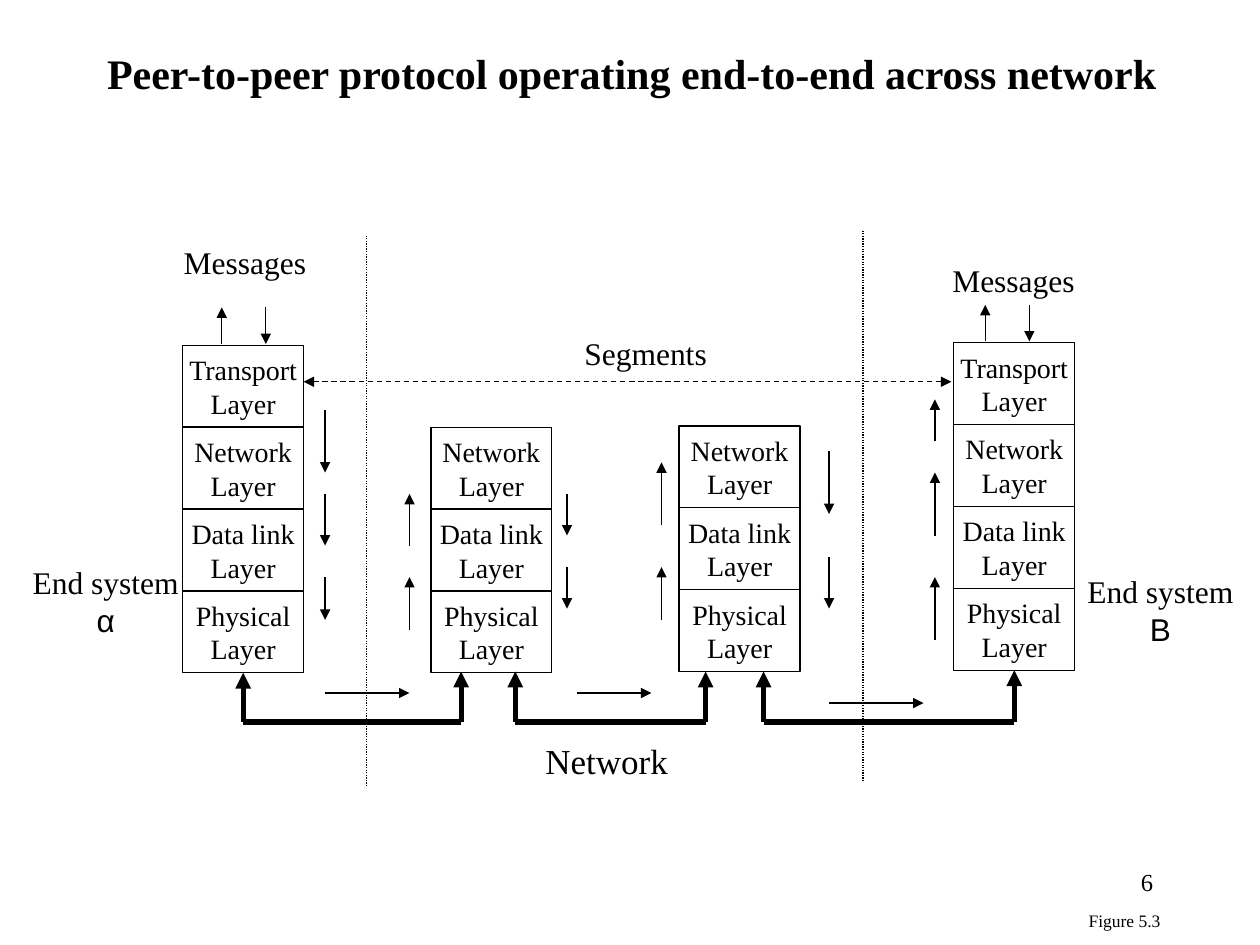
from dataclasses import dataclass

from lxml import etree
from pptx import Presentation
from pptx.dml.color import RGBColor
from pptx.enum.dml import MSO_LINE
from pptx.enum.shapes import MSO_CONNECTOR, MSO_SHAPE
from pptx.enum.text import MSO_ANCHOR, MSO_AUTO_SIZE, PP_ALIGN
from pptx.oxml.ns import qn
from pptx.util import Pt

PX = 9144  # EMU per px, 100 px to the inch
LEFT, CENTER, RIGHT = PP_ALIGN.LEFT, PP_ALIGN.CENTER, PP_ALIGN.RIGHT
TOP, MIDDLE = MSO_ANCHOR.TOP, MSO_ANCHOR.MIDDLE
STRAIGHT = MSO_CONNECTOR.STRAIGHT
DASH, DOT = MSO_LINE.DASH, MSO_LINE.ROUND_DOT
BOTTOM_SITE = 2
LAYER_W, LAYER_H = 96, 65
ROUTER_LAYERS = ["Network", "Data link", "Physical"]
END_LAYERS = ["Transport"] + ROUTER_LAYERS


@dataclass(frozen=True)
class Theme:
    ink: RGBColor = RGBColor(0, 0, 0)
    font: str = "Times New Roman"
    greek_font: str = "Arial"
    title: int = 24
    network: int = 20
    label: int = 18
    layer: int = 16
    number: int = 14
    caption: int = 10
    thin: float = 0.75
    thick: int = 3


THEME = Theme()


def px(*lengths):
    return [round(n * PX) for n in lengths]


def write(tf, text, size, align=CENTER, anchor=TOP, bold=False, wrap=False):
    tf.text = text
    tf.word_wrap = wrap
    tf.auto_size = MSO_AUTO_SIZE.NONE
    tf.vertical_anchor = anchor
    for p in tf.paragraphs:
        p.alignment = align
        for r in p.runs:
            r.font.name = THEME.font
            r.font.size = Pt(size)
            r.font.bold = bold
            r.font.color.rgb = THEME.ink


def add_label(s, box, text, size, align=LEFT, anchor=TOP):
    tf = s.shapes.add_textbox(*px(*box)).text_frame
    write(tf, text, size, align, anchor)
    return tf


def add_line(s, start, end, width=THEME.thin, heads=(), dash=None):
    """Draw a line; heads names its arrow ends: headEnd (start), tailEnd (end)."""
    line = s.shapes.add_connector(STRAIGHT, *px(*start, *end))
    line.line.color.rgb = THEME.ink
    line.line.width = Pt(width)
    if dash:
        line.line.dash_style = dash
    sp_pr = line._element.spPr
    for head in heads:
        etree.SubElement(sp_pr.find(qn("a:ln")), qn(f"a:{head}"), type="triangle")
    etree.SubElement(sp_pr, qn("a:effectLst"))
    return line


def add_arrow(s, start, end, width=THEME.thin):
    return add_line(s, start, end, width, heads=["tailEnd"])


def add_title(s, box, text):
    title = s.shapes.title
    title.left, title.top, title.width, title.height = px(*box)
    write(title.text_frame, text, THEME.title, LEFT, bold=True, wrap=True)


def add_stack(s, x, y, layers):
    """Stack the layers downwards from (x, y); return the lowest box."""
    for i, name in enumerate(layers):
        sp = s.shapes.add_shape(
            MSO_SHAPE.RECTANGLE, *px(x, y + i * LAYER_H, LAYER_W, LAYER_H))
        sp.shadow.inherit = False
        sp.fill.background()
        sp.line.color.rgb = THEME.ink
        sp.line.width = Pt(THEME.thin)
        tf = sp.text_frame
        tf.margin_left = tf.margin_right = 0
        write(tf, f"{name}\nLayer", THEME.layer, anchor=MIDDLE)
    return sp


def add_end_system(s, x, y, arrow_dx, message_at, name_at, letter):
    """A full stack with its message arrows and its name."""
    physical = add_stack(s, x, y, END_LAYERS)
    add_label(s, (*message_at, 117, 40), "Messages", THEME.label)
    up, down = x + arrow_dx, x + arrow_dx + 35
    add_arrow(s, (up, y - 1), (up, y - 30))
    add_arrow(s, (down, y - 30), (down, y - 1))
    tf = add_label(s, (*name_at, 136, 70), f"End system\n{letter}",
                   THEME.label, CENTER)
    tf.paragraphs[1].runs[0].font.name = THEME.greek_font
    return physical


def add_link(s, left, right, y, left_box=None, right_box=None):
    """A thick link below two stacks, with an arrow up into each of them."""
    add_line(s, (left, y), (right, y), THEME.thick)
    for x, box in ((left, left_box), (right, right_box)):
        arrow = add_arrow(s, (x, y), (x, y - 40), THEME.thick)
        if box is not None:
            arrow.end_connect(box, BOTTOM_SITE)


def add_flow(s):
    """Thin arrows that follow the data down, across and up the stacks."""
    columns = {
        258: [(325, 375), (392, 433), (458, 492)],
        325: [(500, 458), (433, 392)],
        450: [(392, 425), (450, 483)],
        525: [(492, 450), (417, 367)],
        658: [(358, 408), (442, 483)],
        742: [(508, 458), (425, 375), (350, 317)],
    }
    for x, spans in columns.items():
        for y0, y1 in spans:
            add_arrow(s, (x, y0), (x, y1))
    for x0, x1, y in ((258, 325, 550), (458, 517, 550), (658, 733, 558)):
        add_arrow(s, (x0, y), (x1, y))


def add_network(s):
    """End systems, routers and the links between them."""
    alpha = add_end_system(s, 145, 274, 31, (136, 188), (16, 442), "α")
    beta = add_end_system(s, 757, 272, 25, (746, 202), (853, 449), "Β")
    add_stack(s, 342, 339, ROUTER_LAYERS)
    add_stack(s, 539, 338, ROUTER_LAYERS)

    add_link(s, 193, 366, 573, left_box=alpha)
    add_link(s, 409, 560, 573)
    add_link(s, 606, 805, 573, right_box=beta)
    add_label(s, (423, 582, 117, 44), "Network", THEME.network)

    # Peer-to-peer exchange between the transport layers
    add_line(s, (241, 303), (755, 303), heads=["headEnd", "tailEnd"], dash=DASH)
    add_label(s, (454, 260, 117, 40), "Segments", THEME.label)

    # Borders of the network
    for x, y in ((291, 187), (685, 183)):
        add_line(s, (x, y), (x, y + 438), dash=DOT)

    add_flow(s)


def main():
    prs = Presentation()
    prs.slide_width, prs.slide_height = px(1000, 750)
    s = prs.slides.add_slide(prs.slide_layouts[5])
    add_title(s, (75, 33, 856, 50),
              "Peer-to-peer protocol operating end-to-end across network")
    add_network(s)
    # Slide number and figure caption
    add_label(s, (717, 683, 208, 50), "6", THEME.number, RIGHT)
    add_label(s, (854, 717, 77, 27), "Figure 5.3", THEME.caption, CENTER, MIDDLE)
    prs.save("out.pptx")


if __name__ == "__main__":
    main()
